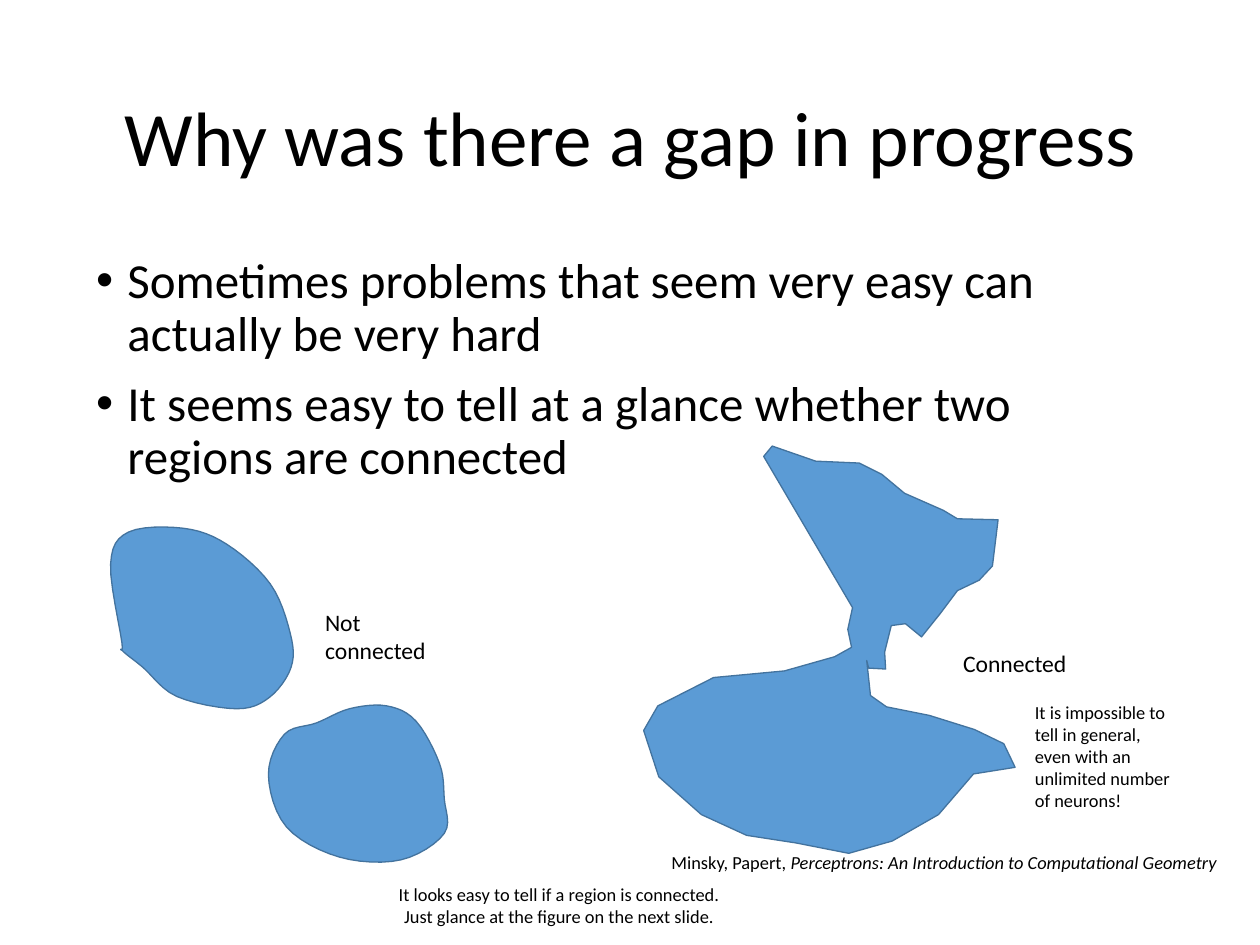
from pptx import Presentation
from pptx.dml.color import RGBColor
from pptx.enum.text import MSO_ANCHOR, MSO_AUTO_SIZE, PP_ALIGN
from pptx.oxml.xmlchemy import OxmlElement
from pptx.util import Inches, Pt

LEFT_BLOB = [
    (1.29, 6.8), (1.17, 5.97), (1.36, 5.63), (1.94, 5.59), (2.4, 5.76), (2.86, 6.18),
    (3.07, 6.7), (3.08, 7.06), (2.85, 7.38), (2.5, 7.5), (1.87, 7.37), (1.51, 7.06),
    (1.29, 6.88),
]
RIGHT_BLOB = [
    (4.65, 8.08), (4.4, 7.63), (4.09, 7.47), (3.7, 7.5), (3.35, 7.65), (3.01, 7.77),
    (2.84, 8.2), (3.03, 8.75), (3.59, 9.07), (4.24, 9.1), (4.7, 8.82), (4.7, 8.45),
]
JOINED_REGION = [
    (9.02, 6.43), (8.08, 4.83), (8.17, 4.72), (8.63, 4.88), (9.09, 4.9), (9.33, 5.02),
    (9.57, 5.22), (9.98, 5.4), (10.13, 5.49), (10.56, 5.5), (10.5, 5.99), (10.36, 6.14),
    (10.13, 6.25), (9.95, 6.49), (9.75, 6.74), (9.58, 6.6), (9.43, 6.62), (9.36, 6.9),
    (9.37, 7.08), (9.19, 7.07), (9.17, 6.99), (9.21, 7.36), (9.38, 7.48), (9.83, 7.57),
    (10.31, 7.72), (10.62, 7.87), (10.74, 8.12), (10.3, 8.19), (9.93, 8.62), (9.44, 8.9),
    (8.98, 9.03), (8.42, 8.92), (7.9, 8.84), (7.42, 8.62), (6.97, 8.22), (6.81, 7.73),
    (6.96, 7.47), (7.55, 7.17), (8.3, 7.1), (8.83, 6.95), (9.01, 6.85), (8.97, 6.66),
]


def color(value):
    return RGBColor.from_string(value)


def smoothed(outline, steps=6):
    """Closed Catmull-Rom curve through the points of an outline."""
    curve = []
    for index, start in enumerate(outline):
        before = outline[index - 1]
        end, after = (outline[(index + ahead) % len(outline)] for ahead in (1, 2))
        for step in range(steps):
            t = step / steps
            curve.append(tuple(
                b + t * (c - a + t * (2 * a - 5 * b + 4 * c - d
                                      + t * (3 * b - 3 * c + d - a))) / 2
                for a, b, c, d in zip(before, start, end, after)))
    return curve


class SlideWriter:
    font = "Calibri"
    ink = "000000"
    region_fill = "5B9BD5"
    region_line = "43739E"

    def __init__(self, deck):
        self.page = deck.slides.add_slide(deck.slide_layouts[6])

    def text(self, place, size, paragraphs, align=PP_ALIGN.LEFT,
             anchor=MSO_ANCHOR.TOP, spacing=None, bullets=False):
        """Each paragraph is a list of (wording, italic) spans."""
        box = self.page.shapes.add_textbox(*map(Inches, place))
        frame = box.text_frame
        frame.word_wrap = True
        frame.auto_size = MSO_AUTO_SIZE.NONE
        frame.vertical_anchor = anchor
        for index, spans in enumerate(paragraphs):
            para = frame.add_paragraph() if index else frame.paragraphs[0]
            para.alignment = align
            if spacing:
                para.line_spacing = spacing
            if bullets:
                if index:
                    para.space_before = Pt(13.3)
                self.bullet(para)
            para.font.name = self.font
            para.font.size = Pt(size)
            para.font.color.rgb = color(self.ink)
            for wording, italic in spans:
                span = para.add_run()
                span.text = wording
                if italic:
                    span.font.italic = True

    def bullet(self, para):
        properties = para._p.get_or_add_pPr()
        properties.set("marL", str(Inches(0.33)))
        properties.set("indent", str(-Inches(0.33)))
        typeface = OxmlElement("a:buFont")
        typeface.set("typeface", "Arial")
        mark = OxmlElement("a:buChar")
        mark.set("char", "•")
        properties.extend([typeface, mark])

    def region(self, outline):
        points = [(Inches(x), Inches(y)) for x, y in outline]
        builder = self.page.shapes.build_freeform(*points[0])
        builder.add_line_segments(points[1:], close=True)
        shape = builder.convert_to_shape()
        shape.shadow.inherit = False
        shape.fill.solid()
        shape.fill.fore_color.rgb = color(self.region_fill)
        shape.line.color.rgb = color(self.region_line)
        shape.line.width = Pt(1)


def main():
    deck = Presentation()
    deck.slide_width, deck.slide_height = Inches(13.33), Inches(10)
    writer = SlideWriter(deck)

    writer.text((0.92, 0.53, 11.5, 1.93), 58.7,
                [[("Why was there a gap in progress", False)]],
                align=PP_ALIGN.CENTER, anchor=MSO_ANCHOR.MIDDLE, spacing=0.9)
    writer.text((0.92, 2.66, 11.5, 6.34), 37.3, [
        [("Sometimes problems that seem very easy can actually be very hard", False)],
        [("It seems easy to tell at a glance whether two regions are connected", False)],
    ], spacing=0.9, bullets=True)

    for outline in (smoothed(LEFT_BLOB), JOINED_REGION, smoothed(RIGHT_BLOB)):
        writer.region(outline)

    writer.text((3.34, 6.38, 1.68, 0.71), 18, [[("Not connected", False)]])
    writer.text((10.09, 6.82, 1.53, 0.4), 18, [[("Connected", False)]])
    writer.text((3.94, 9.3, 3.95, 0.57), 14, [
        [("It looks easy to tell if a region is connected.", False)],
        [("Just glance at the figure on the next slide.", False)],
    ], align=PP_ALIGN.CENTER)
    writer.text((6.31, 8.96, 7.36, 0.34), 14, [[
        ("Minsky, Papert, ", False),
        ("Perceptrons: An Introduction to Computational Geometry", True),
    ]], align=PP_ALIGN.CENTER)
    writer.text((10.85, 7.37, 1.73, 1.28), 14, [[
        ("It is impossible to tell in general, even with an unlimited number of neurons!", False),
    ]])
    deck.save("out.pptx")


if __name__ == "__main__":
    main()
